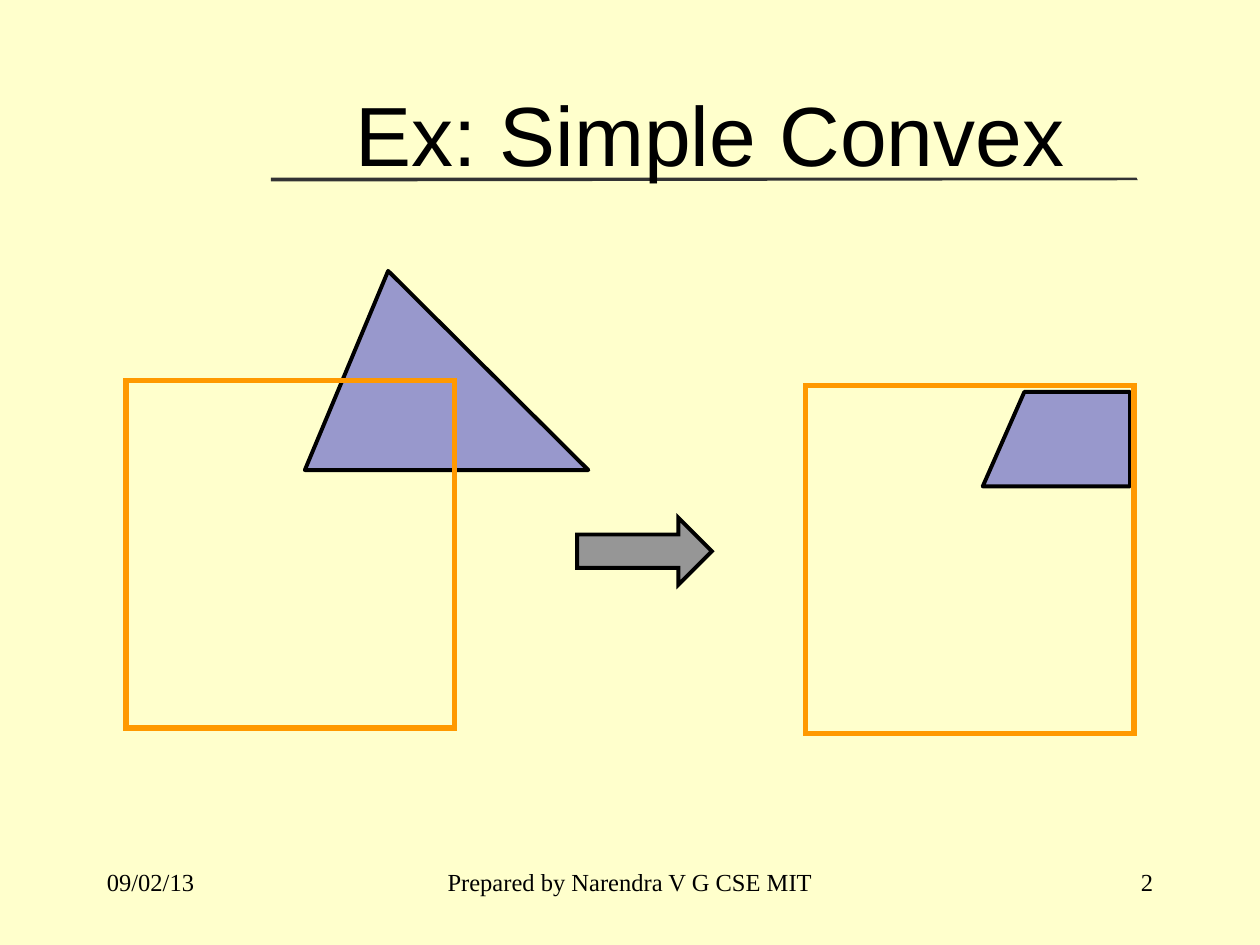
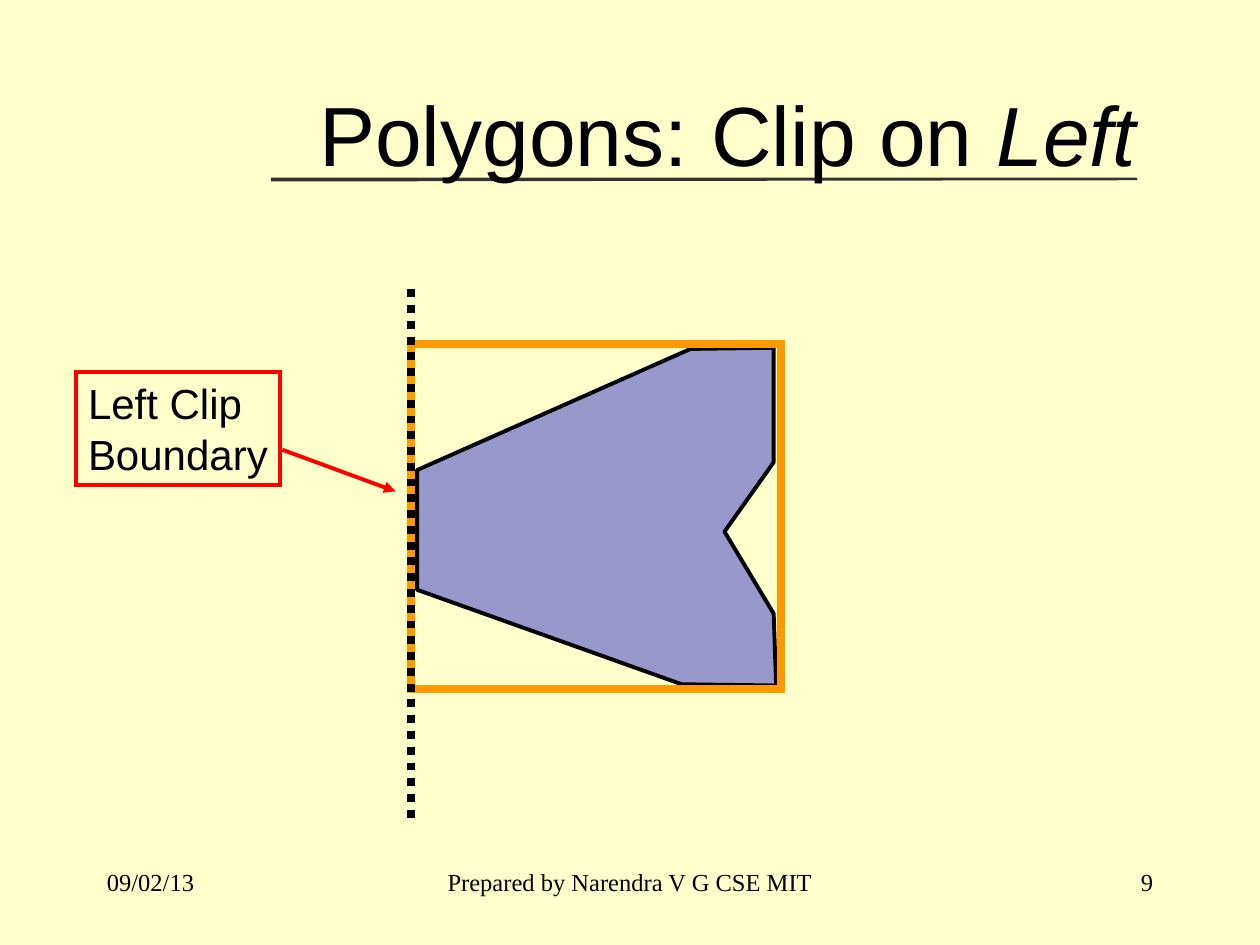
"""Build two slides on polygon clipping."""
from lxml.etree import SubElement
from pptx import Presentation
from pptx.dml.color import RGBColor
from pptx.enum.dml import MSO_LINE as Dash
from pptx.enum.shapes import MSO_CONNECTOR as Link, MSO_SHAPE as Form
from pptx.enum.text import MSO_ANCHOR as Anchor, MSO_AUTO_SIZE as Fit, PP_ALIGN as Align
from pptx.oxml.ns import qn
from pptx.util import Pt

CREAM, BLACK, DARK, GREY = "FFFFCC", "000000", "333333", "969696"
BLUE, GOLD, RED = "3333CC", "FF9900", "FF0000"


def paint(fill, color):
    fill.solid()
    fill.fore_color.rgb = RGBColor.from_string(color)


def write(para, text, face, size, align=Align.LEFT, slant=None):
    para.alignment = align
    run = para.add_run()
    run.text = text
    run.font.name, run.font.size, run.font.italic = face, Pt(size), slant
    paint(run.font.fill, BLACK)


deck = Presentation()
deck.slide_width, deck.slide_height = Pt(720), Pt(540)
paint(deck.slide_master.background.fill, CREAM)

pages = [
    ("2", 561.6, [("Ex: Simple Convex", None)]),
    ("9", 602.6, [("Polygons: Clip on ", None), ("Left", True)]),
]
polys = [
    [[(174.2, 268.6), (336.2, 268.6), (221.8, 154.8)],
     [(585.4, 223.9), (645.8, 223.9), (645.8, 277.9), (561.6, 277.9)]],
    [[(394.6, 199.4), (238.3, 268.6), (238.3, 337), (389.5, 391), (443.5, 391.7),
      (442.1, 350.6), (414, 303.8), (442.1, 264.2), (442.1, 198.7)]],
]
frames = [
    [(460.1, 220.3, 187.9, 198.7, 3), (72, 217.4, 187.9, 198.7, 3)],
    [(234.7, 196.6, 211.7, 197.3, 4.5)],
]
strip = [(154.8, 101.5), (649.4, 101.5), (650.2, 103), (154.8, 103.7)]

for (num, wide, words), shapes, boxes in zip(pages, polys, frames):
    slide = deck.slides.add_slide(deck.slide_layouts[5])
    title = slide.shapes.title
    title.left, title.top, title.width, title.height = Pt(54), Pt(31), Pt(wide), Pt(90)
    title.text_frame.vertical_anchor = Anchor.MIDDLE
    title.text_frame.auto_size = Fit.NONE
    for text, slant in words:
        write(title.text_frame.paragraphs[0], text, "Arial", 48, Align.RIGHT, slant)

    looks = []
    if num == "2":
        arrow = slide.shapes.add_shape(Form.RIGHT_ARROW, Pt(329.8), Pt(295.9), Pt(77), Pt(38.2))
        looks.append((arrow, GREY, BLACK, 2.25))
    for points in [strip, *shapes]:
        (x, y), *rest = [(Pt(a), Pt(b)) for a, b in points]
        path = slide.shapes.build_freeform(x, y)
        path.add_line_segments(rest, close=True)
        poly = path.convert_to_shape()
        if points is strip:
            title.element.addprevious(poly.element)
            looks.append((poly, DARK, None, 0))
        else:
            looks.append((poly, BLUE, BLACK, 2.25))
    for *spot, width in boxes:
        box = slide.shapes.add_shape(Form.RECTANGLE, *map(Pt, spot))
        looks.append((box, None, GOLD, width))

    if num == "9":
        edge = slide.shapes.add_connector(Link.STRAIGHT, Pt(234.7), Pt(467.3), Pt(234.7), Pt(161.3))
        label = slide.shapes.add_shape(Form.RECTANGLE, Pt(43.2), Pt(212.4), Pt(116.6), Pt(64.8))
        looks.append((label, None, RED, 2.25))
        frame = label.text_frame
        frame.word_wrap, frame.auto_size = True, Fit.NONE
        frame.margin_right = 0
        frame.vertical_anchor = Anchor.TOP
        write(frame.paragraphs[0], "Left Clip", "Arial", 24)
        write(frame.add_paragraph(), "Boundary", "Arial", 24)
        ray = slide.shapes.add_connector(Link.STRAIGHT, Pt(161.3), Pt(257), Pt(226.1), Pt(280.8))
        for link, color, width in [(edge, BLACK, 4.5), (ray, RED, 2.25)]:
            paint(link.line.fill, color)
            link.line.width = Pt(width)
            SubElement(link.element.spPr, qn("a:effectLst"))
        edge.line.dash_style = Dash.ROUND_DOT
        SubElement(ray.element.spPr.find(qn("a:ln")), qn("a:tailEnd"), type="triangle")

    for shape, fill, color, width in looks:
        shape.shadow.inherit = False
        if fill:
            paint(shape.fill, fill)
        else:
            shape.fill.background()
        if color:
            paint(shape.line.fill, color)
            shape.line.width = Pt(width)
        else:
            shape.line.fill.background()
        if fill == BLUE:
            tint = shape.element.spPr.find(qn("a:solidFill"))
            SubElement(tint[0], qn("a:alpha"), val="50000")
        elif color:
            SubElement(shape.element.spPr.find(qn("a:ln")), qn("a:miter"), lim="800000")

    for left, width, text, align in [
        (54, 150, "09/02/13", Align.LEFT),
        (246, 228, "Prepared by Narendra V G CSE MIT", Align.CENTER),
        (516, 150, num, Align.RIGHT),
    ]:
        foot = slide.shapes.add_textbox(Pt(left), Pt(492), Pt(width), Pt(36))
        foot.text_frame.word_wrap = True
        write(foot.text_frame.paragraphs[0], text, "Times New Roman", 14, align)

deck.save("out.pptx")
